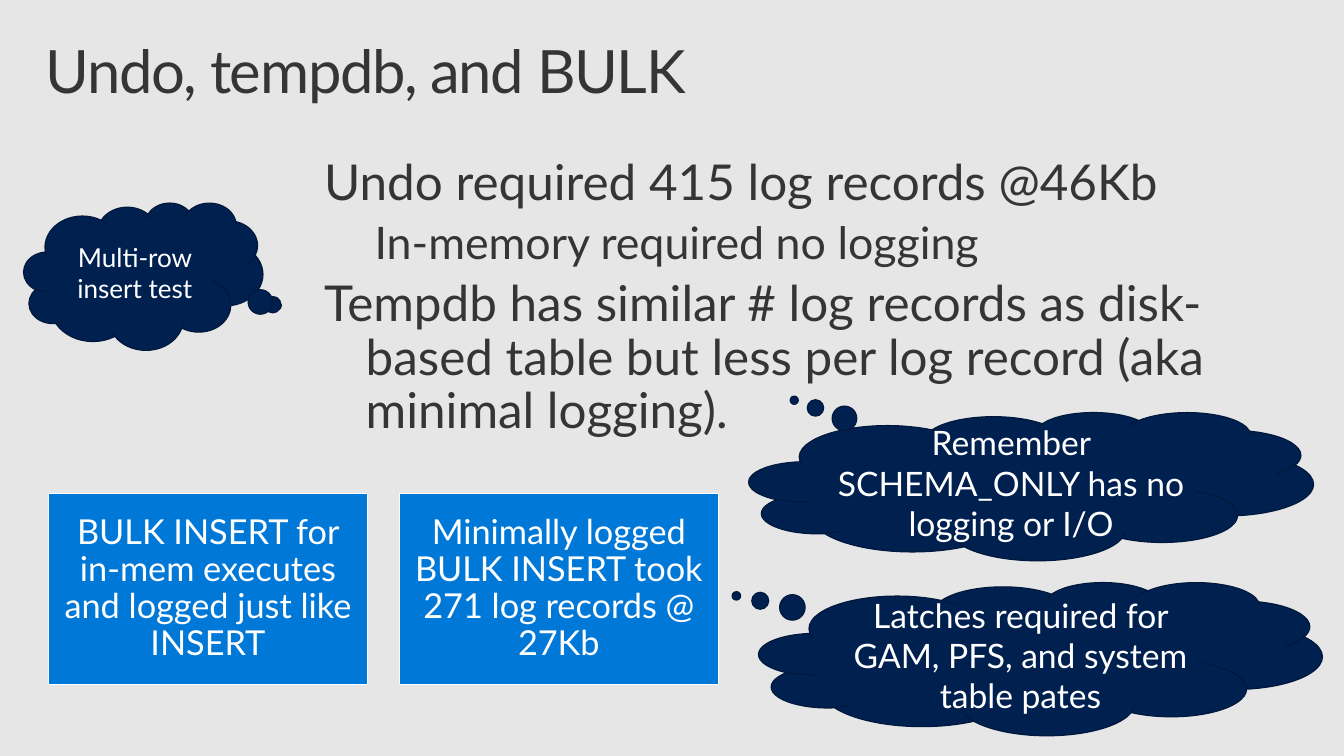
"""Builds the slide on undo, tempdb and BULK logging."""
import pptx
import pptx.dml.color
import pptx.enum.shapes
import pptx.enum.text
import pptx.oxml
import pptx.oxml.ns
import pptx.util

ANCHOR = pptx.enum.text.MSO_ANCHOR
ALIGN = pptx.enum.text.PP_ALIGN
SHAPE = pptx.enum.shapes.MSO_SHAPE

SLIDE_SIZE = (1360, 765)
BACKGROUND, INK, WHITE = "E6E6E6", "353535", "FFFFFF"
NAVY, NAVY_EDGE, BLUE = "002050", "00183B", "0078D7"

TITLE = "Undo, tempdb, and BULK"
TITLE_BOX = (30, 32, 1300, 100)
BODY_BOX = (312, 150, 980, 407)
BODY = [
    (0, "Undo required 415 log records @46Kb"),
    (1, "In-memory required no logging"),
    (0, "Tempdb has similar # log records as disk-based table but less per log record (aka minimal logging)."),
]
BODY_LEVELS = [{"size": 36, "left": 42}, {"size": 32.6, "left": 93}]
HANGING = 42

CLOUDS = [
    ("Multi-row insert test", (24, 205, 242, 149), (0.56, 0.2), 19),
    ("Remember SCHEMA_ONLY has no logging or I/O", (758, 417, 571, 150), (-0.42, -0.58), 24.5),
    ("Latches required for GAM, PFS, and system table pates", (768, 589, 570, 155), (-0.54, -0.41), 24.5),
]
TILES = [
    "BULK INSERT for in-mem executes and logged just like INSERT",
    "Minimally logged BULK INSERT took 271 log records @ 27Kb",
]
TILE_BOX = (49, 499, 323, 194)
TILE_STEP = 355


def px(length):
    return pptx.util.Emu(length * 9144)


def color(value):
    return pptx.dml.color.RGBColor.from_string(value)


def apply(target, values):
    for name, value in values.items():
        setattr(target, name, value)


def place(shape, box):
    apply(shape, dict(zip(("left", "top", "width", "height"), map(px, box))))


def format_frame(shape, anchor, side, vertical):
    apply(shape.text_frame, {
        "word_wrap": True, "auto_size": pptx.enum.text.MSO_AUTO_SIZE.NONE,
        "vertical_anchor": anchor,
        "margin_left": px(side), "margin_right": px(side),
        "margin_top": px(vertical), "margin_bottom": px(vertical),
    })


def write(paragraph, text, size, ink, **layout):
    apply(paragraph, {"space_before": pptx.util.Pt(0), **layout})
    run = paragraph.add_run()
    run.text = text
    apply(run.font, {"name": "Lato", "size": pptx.util.Pt(size)})
    run.font.color.rgb = color(ink)
    return run


def add_panel(slide, kind, box, text, size, fill, edge, vertical, spacing):
    shape = slide.shapes.add_shape(kind, *map(px, box))
    shape.shadow.inherit = False
    shape.fill.solid()
    shape.fill.fore_color.rgb = color(fill)
    shape.line.color.rgb = color(edge)
    shape.line.width = pptx.util.Pt(0.85)
    format_frame(shape, ANCHOR.MIDDLE, 10, vertical)
    write(shape.text_frame.paragraphs[0], text, size, WHITE,
          alignment=ALIGN.CENTER, line_spacing=spacing)
    return shape


def fill_title(title):
    place(title, TITLE_BOX)
    format_frame(title, ANCHOR.TOP, 16, 10)
    run = write(title.text_frame.paragraphs[0], TITLE, 43.5, INK,
                alignment=ALIGN.LEFT, line_spacing=0.9)
    run.font._element.set("spc", "-100")


def fill_body(body):
    place(body, BODY_BOX)
    format_frame(body, ANCHOR.TOP, 16, 10)
    for index, (level, text) in enumerate(BODY):
        frame = body.text_frame
        paragraph = frame.add_paragraph() if index else frame.paragraphs[0]
        style = BODY_LEVELS[level]
        properties = paragraph._p.get_or_add_pPr()
        properties.set("marL", str(px(style["left"])))
        properties.set("indent", str(px(-HANGING)))
        properties.append(pptx.oxml.parse_xml(f"<a:buNone {pptx.oxml.ns.nsdecls('a')}/>"))
        write(paragraph, text, style["size"], INK, level=level, line_spacing=0.9,
              space_before=pptx.util.Pt(7 if index else 0))


def main():
    presentation = pptx.Presentation()
    apply(presentation, dict(zip(("slide_width", "slide_height"), map(px, SLIDE_SIZE))))
    slide = presentation.slides.add_slide(presentation.slide_layouts[1])
    slide.background.fill.solid()
    slide.background.fill.fore_color.rgb = color(BACKGROUND)
    fill_title(slide.shapes.title)
    fill_body(slide.placeholders[1])
    left, *rest = TILE_BOX
    for index, text in enumerate(TILES):
        add_panel(slide, SHAPE.RECTANGLE, (left + index * TILE_STEP, *rest),
                  text, 25, BLUE, WHITE, 10, 0.9)
    for text, box, pointer, size in CLOUDS:
        cloud = add_panel(slide, SHAPE.CLOUD_CALLOUT, box, text, size, NAVY, NAVY_EDGE, 5, 1.0)
        for index, value in enumerate(pointer):
            cloud.adjustments[index] = value
    presentation.save("out.pptx")


if __name__ == "__main__":
    main()
